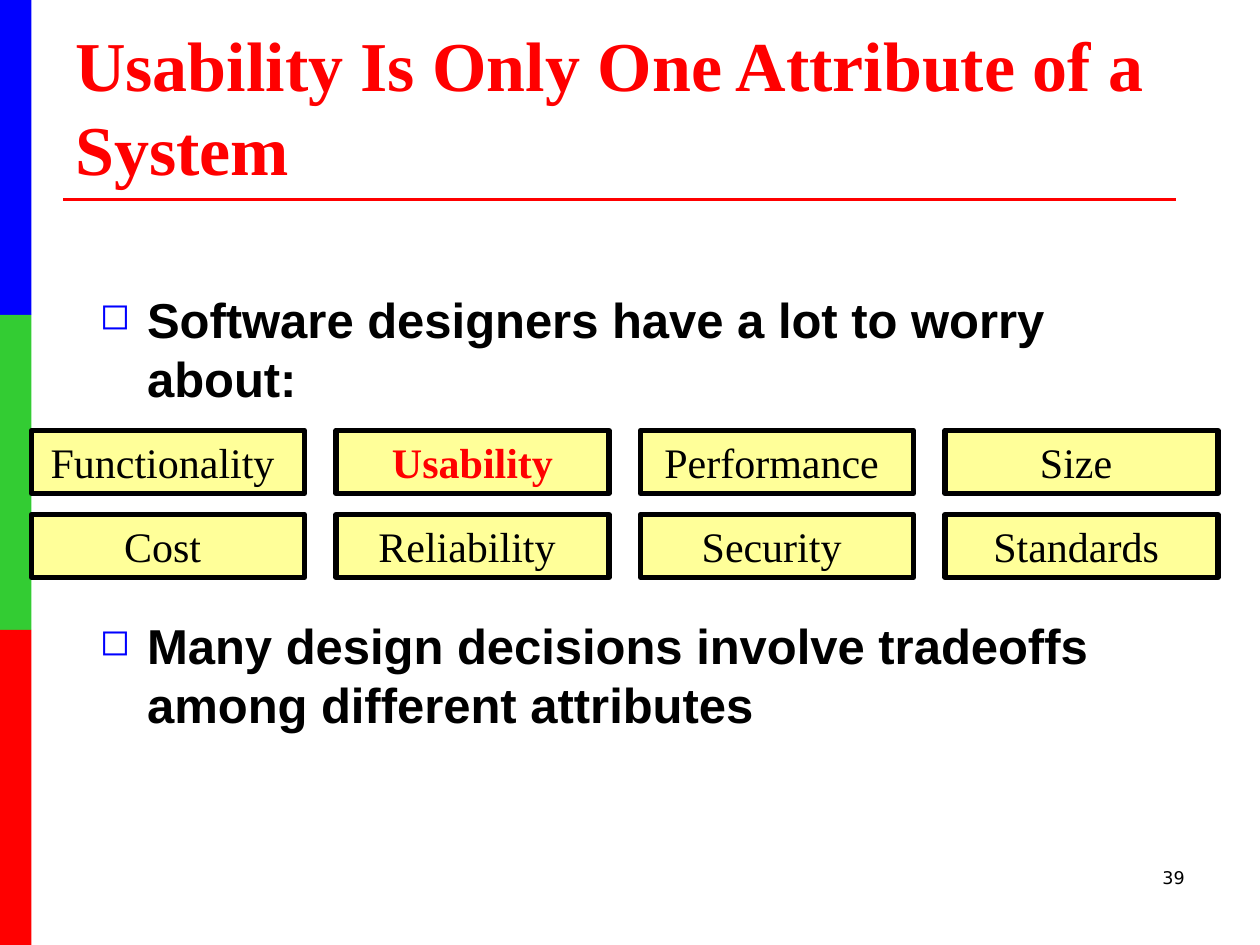
from lxml import etree
from pptx import Presentation
from pptx.dml.color import RGBColor
from pptx.enum.shapes import MSO_CONNECTOR, MSO_SHAPE
from pptx.enum.text import MSO_ANCHOR, PP_ALIGN
from pptx.oxml.ns import qn
from pptx.util import Pt

RECT = MSO_SHAPE.RECTANGLE
STRAIGHT = MSO_CONNECTOR.STRAIGHT
MIDDLE, BOTTOM = MSO_ANCHOR.MIDDLE, MSO_ANCHOR.BOTTOM
CENTER, RIGHT = PP_ALIGN.CENTER, PP_ALIGN.RIGHT
COLORS = {
    "blue": "0000FF",
    "green": "33CC33",
    "red": "FF0000",
    "yellow": "FFFF99",
    "black": "000000",
}


def rgb(name):
    return RGBColor.from_string(COLORS[name])


def set_font(paragraph, face, size, color, bold=False):
    for run in paragraph.runs:
        run.font.name = face
        run.font.size = Pt(size)
        run.font.color.rgb = rgb(color)
        run.font.bold = bold


prs = Presentation()
prs.slide_width, prs.slide_height = Pt(720), Pt(540)
slide = prs.slides.add_slide(prs.slide_layouts[6])
shapes = slide.shapes

# Colour bands down the left edge
for row, color in enumerate(("blue", "green", "red")):
    band = shapes.add_shape(RECT, Pt(0), Pt(180 * row), Pt(18), Pt(180))
    band.shadow.inherit = False
    band.fill.solid()
    band.fill.fore_color.rgb = rgb(color)
    band.line.fill.background()

# Title and its rule
title_rule = shapes.add_connector(STRAIGHT, Pt(36), Pt(114), Pt(672), Pt(114))
title_rule.line.color.rgb = rgb("red")
title_rule.line.width = Pt(1.5)
etree.SubElement(title_rule._element.spPr, qn("a:effectLst"))

title = shapes.add_textbox(Pt(36), Pt(21.6), Pt(648), Pt(90)).text_frame
title.word_wrap = True
title.vertical_anchor = BOTTOM
title.text = "Usability Is Only One Attribute of a System"
set_font(title.paragraphs[0], "Times New Roman", 40, "red", bold=True)

# Bullet points, with room between them for the attribute grid
points = (
    ("Software designers have a lot to worry about:", 0),
    ("Many design decisions involve tradeoffs among different attributes", 119),
)
body = shapes.add_textbox(Pt(50), Pt(162), Pt(628), Pt(354)).text_frame
body.word_wrap = True
for index, (point, space_before) in enumerate(points):
    paragraph = body.add_paragraph() if index else body.paragraphs[0]
    paragraph.text = point
    props = paragraph._p.get_or_add_pPr()
    props.set("marL", str(Pt(27)))
    props.set("indent", str(-Pt(27)))
    bullet_color = etree.SubElement(props, qn("a:buClr"))
    etree.SubElement(bullet_color, qn("a:srgbClr"), val=COLORS["blue"])
    etree.SubElement(props, qn("a:buSzPct"), val="75000")
    etree.SubElement(props, qn("a:buChar"), char="◻")
    if space_before:
        paragraph.space_before = Pt(space_before)
    set_font(paragraph, "Arial", 28, "black", bold=True)

# Grid of system attributes
attributes = (
    ("Functionality", "Usability", "Performance", "Size"),
    ("Cost", "Reliability", "Security", "Standards"),
)
for row, names in enumerate(attributes):
    for column, name in enumerate(names):
        highlighted = name == "Usability"
        box = shapes.add_shape(
            RECT, Pt(18 + 174 * column), Pt(246 + 48 * row), Pt(156), Pt(36)
        )
        box.shadow.inherit = False
        box.fill.solid()
        box.fill.fore_color.rgb = rgb("yellow")
        box.line.color.rgb = rgb("black")
        box.line.width = Pt(3)
        label = box.text_frame
        label.word_wrap = False
        label.vertical_anchor = MIDDLE
        label.margin_right = Pt(7.2 if highlighted else 13.2)
        label.text = name
        label.paragraphs[0].alignment = CENTER
        set_font(label.paragraphs[0], "Times New Roman", 24,
                 "red" if highlighted else "black", bold=highlighted)

page_number = shapes.add_textbox(Pt(516), Pt(492), Pt(168), Pt(36)).text_frame
page_number.word_wrap = True
page_number.text = "39"
page_number.paragraphs[0].alignment = RIGHT
set_font(page_number.paragraphs[0], "DejaVu Sans", 10, "black")

prs.save("out.pptx")
